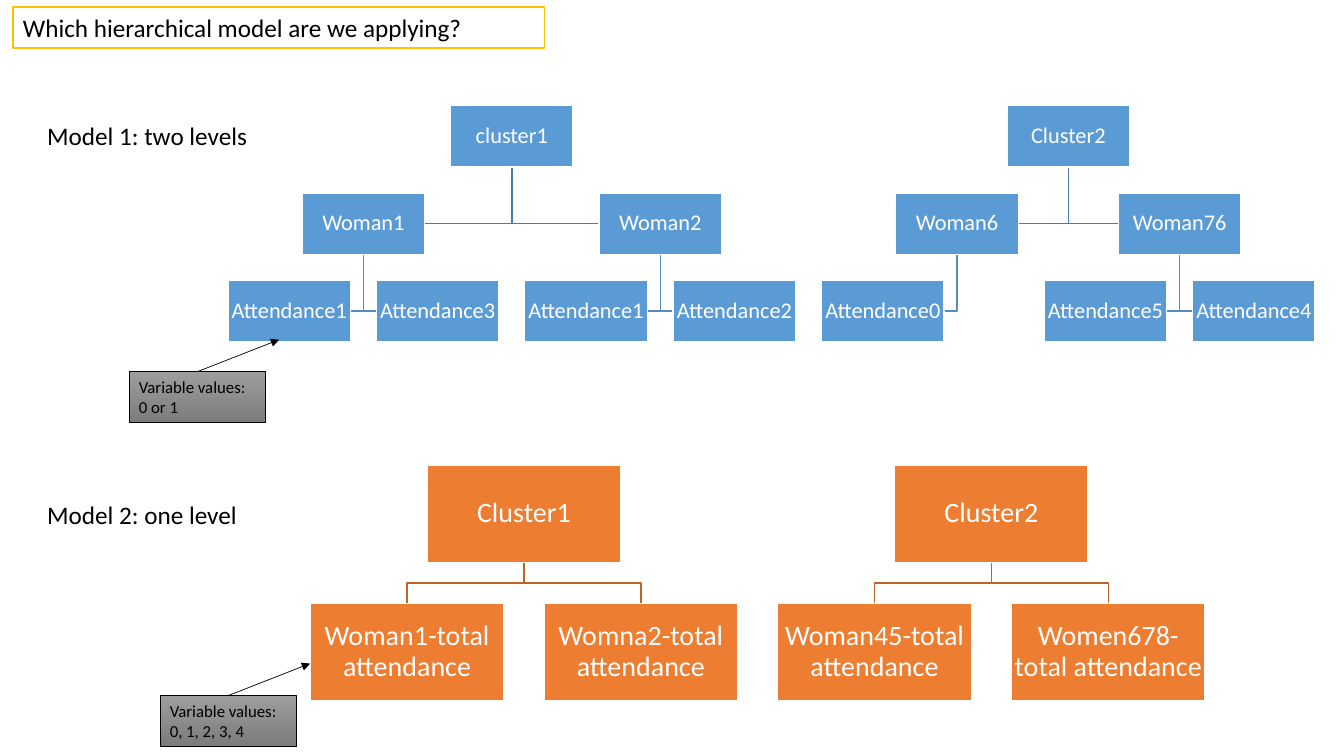
import pptx
import pptx.util
import pptx.dml.color
import pptx.enum.dml
import pptx.enum.shapes
import pptx.enum.text
import pptx.oxml
import pptx.oxml.ns
from dataclasses import dataclass

Cm, Pt = pptx.util.Cm, pptx.util.Pt
RGB = pptx.dml.color.RGBColor.from_string
SHAPE = pptx.enum.shapes.MSO_SHAPE
ALIGN = pptx.enum.text.PP_ALIGN
ANCHOR = pptx.enum.text.MSO_ANCHOR


@dataclass(frozen=True)
class Theme:
    """Colours, font and type sizes of the slide."""
    font: str = "Calibri"
    white: str = "FFFFFF"
    black: str = "000000"
    gold: str = "FFC000"
    blue: str = "5B9BD5"
    blue_links: tuple = ("497CAB", "538DC1")
    orange: str = "ED7D31"
    orange_links: tuple = ("BE6427",)
    note_fill: tuple = ("9D9D9D", "7C7C7C")
    label_size: int = 18
    note_size: int = 12
    attendance_size: int = 16
    total_size: int = 20


@dataclass(frozen=True)
class TreeStyle:
    """Geometry (cm) and look of one hierarchy."""
    x: float  # centre of the first leaf
    y: float  # top of the root row
    w: float
    h: float
    pitch: float
    row: float
    fill: str
    links: tuple
    size: int
    hanging: bool  # links reach children from the side


class Deck:
    """Holds the theme and the current slide."""

    def __init__(self, prs, theme):
        """Add a blank slide to draw on."""
        self.theme = theme
        self.slide = prs.slides.add_slide(prs.slide_layouts[6])

    def set_text(self, sp, text, size, color, align=ALIGN.LEFT):
        """Put one styled paragraph into a shape."""
        tf = sp.text_frame
        tf.word_wrap = True
        tf.text = text
        p = tf.paragraphs[0]
        p.alignment = align
        p.font.name, p.font.size = self.theme.font, Pt(size)
        p.font.color.rgb = RGB(color)
        return tf

    def box(self, x, y, w, h, fill, line, line_width=1):
        """Draw a rectangle; a pair of fills makes a downward gradient."""
        sp = self.slide.shapes.add_shape(SHAPE.RECTANGLE, Cm(x), Cm(y), Cm(w), Cm(h))
        sp.shadow.inherit = False
        if isinstance(fill, tuple):
            sp.fill.gradient()
            sp.fill.gradient_angle = 270
            for stop, color in zip(sp.fill.gradient_stops, fill):
                stop.color.rgb = RGB(color)
        else:
            sp.fill.solid()
            sp.fill.fore_color.rgb = RGB(fill)
        sp.line.color.rgb = RGB(line)
        sp.line.width = Pt(line_width)
        return sp

    def label(self, x, y, w, h, text):
        """Draw a plain text label."""
        sp = self.slide.shapes.add_textbox(Cm(x), Cm(y), Cm(w), Cm(h))
        self.set_text(sp, text, self.theme.label_size, self.theme.black)

    def title(self, x, y, w, h, text):
        """Draw the framed question."""
        sp = self.box(x, y, w, h, self.theme.white, self.theme.gold)
        self.set_text(sp, text, self.theme.label_size, self.theme.black)

    def note(self, x, y, text):
        """Draw a grey note with an arrow up to the box it explains."""
        t, w, h = self.theme, 3.43, 1.28
        sp = self.box(x, y, w, h, t.note_fill, t.black, 0.5)
        self.set_text(sp, text, t.note_size, t.black)
        self.arrow(x + w / 2, y, x + w / 2 + 2.07, y - 0.81)

    def arrow(self, x1, y1, x2, y2):
        """Draw a thin straight arrow."""
        cx = self.slide.shapes.add_connector(
            pptx.enum.shapes.MSO_CONNECTOR.STRAIGHT, Cm(x1), Cm(y1), Cm(x2), Cm(y2))
        cx.line.color.rgb = RGB(self.theme.black)
        cx.line.width = Pt(0.5)
        ns = pptx.oxml.ns.nsdecls("a")
        cx.line._get_or_add_ln().append(
            pptx.oxml.parse_xml(f'<a:tailEnd {ns} type="triangle"/>'))
        cx._element.spPr.append(pptx.oxml.parse_xml(f"<a:effectLst {ns}/>"))

    def link(self, points, color):
        """Draw an open angled line through the points."""
        start, *rest = [(Cm(x), Cm(y)) for x, y in points]
        fb = self.slide.shapes.build_freeform(*start)
        fb.add_line_segments(rest, close=False)
        sp = fb.convert_to_shape()
        sp.shadow.inherit = False
        sp.fill.background()
        sp.line.color.rgb = RGB(color)
        sp.line.width = Pt(1)

    def node(self, x, y, text, st):
        """Draw one box of a hierarchy, centred on x."""
        sp = self.box(x - st.w / 2, y, st.w, st.h, st.fill, self.theme.white)
        tf = self.set_text(sp, text, st.size, self.theme.white, ALIGN.CENTER)
        tf.margin_left = tf.margin_right = tf.margin_top = tf.margin_bottom = Cm(0.03)
        tf.vertical_anchor = ANCHOR.MIDDLE
        tf.paragraphs[0].line_spacing = 0.9

    def forest(self, roots, st):
        """Lay out and draw hierarchies side by side, links behind boxes."""
        nodes, links = [], []
        free = 0

        def place(item, level):
            """Place a (text, children) item and return its centre."""
            nonlocal free
            text, children = item if isinstance(item, tuple) else (item, [])
            kids = [place(child, level + 1) for child in children]
            y = st.y + level * st.row
            if not kids:
                x = st.x + free * st.pitch
                free += 1
            elif len(kids) == 1:  # a lone child hangs half a step to the left
                x = kids[0] + st.pitch / 2
                free += 0.5
            else:
                x = (kids[0] + kids[-1]) / 2
            for kid in kids:
                bottom, top = y + st.h, y + st.row
                if st.hanging:
                    mid = top + st.h / 2
                    edge = kid + st.w / 2 * (1 if kid < x else -1)
                    points = [(x, bottom), (x, mid), (edge, mid)]
                else:
                    mid = (bottom + top) / 2
                    points = [(x, bottom), (x, mid), (kid, mid), (kid, top)]
                links.append((points, st.links[level]))
            nodes.append((x, y, text))
            return x

        for root in roots:
            place(root, 0)
        for points, color in links:
            self.link(points, color)
        for x, y, text in nodes:
            self.node(x, y, text, st)


TWO_LEVELS = [
    ("cluster1", [("Woman1", ["Attendance1", "Attendance3 "]),
                  ("Woman2", ["Attendance1", "Attendance2"])]),
    ("Cluster2", [("Woman6", ["Attendance0"]),
                  ("Woman76", ["Attendance5 ", "Attendance4 "])]),
]
ONE_LEVEL = [
    ("Cluster1", ["Woman1-total attendance", "Womna2-total attendance"]),
    ("Cluster2", ["Woman45-total attendance", "Women678-total attendance"]),
]

prs = pptx.Presentation()
prs.slide_width, prs.slide_height = Cm(33.87), Cm(19.05)
theme = Theme()
deck = Deck(prs, theme)
deck.forest(TWO_LEVELS, TreeStyle(7.29, 2.66, 3.09, 1.55, 3.74, 2.2, theme.blue,
                                  theme.blue_links, theme.attendance_size, True))
deck.forest(ONE_LEVEL, TreeStyle(10.26, 11.73, 4.88, 2.44, 5.89, 3.48, theme.orange,
                                 theme.orange_links, theme.total_size, False))
deck.label(0.94, 2.9, 5.74, 1.03, "Model 1: two levels")
deck.label(0.94, 12.47, 5.74, 1.03, "Model 2: one level")
deck.title(0.33, 0.18, 13.39, 1.03, "Which hierarchical model are we applying?")
deck.note(3.25, 9.37, "Variable values: 0 or 1")
deck.note(4.03, 17.53, "Variable values: 0, 1, 2, 3, 4")
prs.save("out.pptx")
